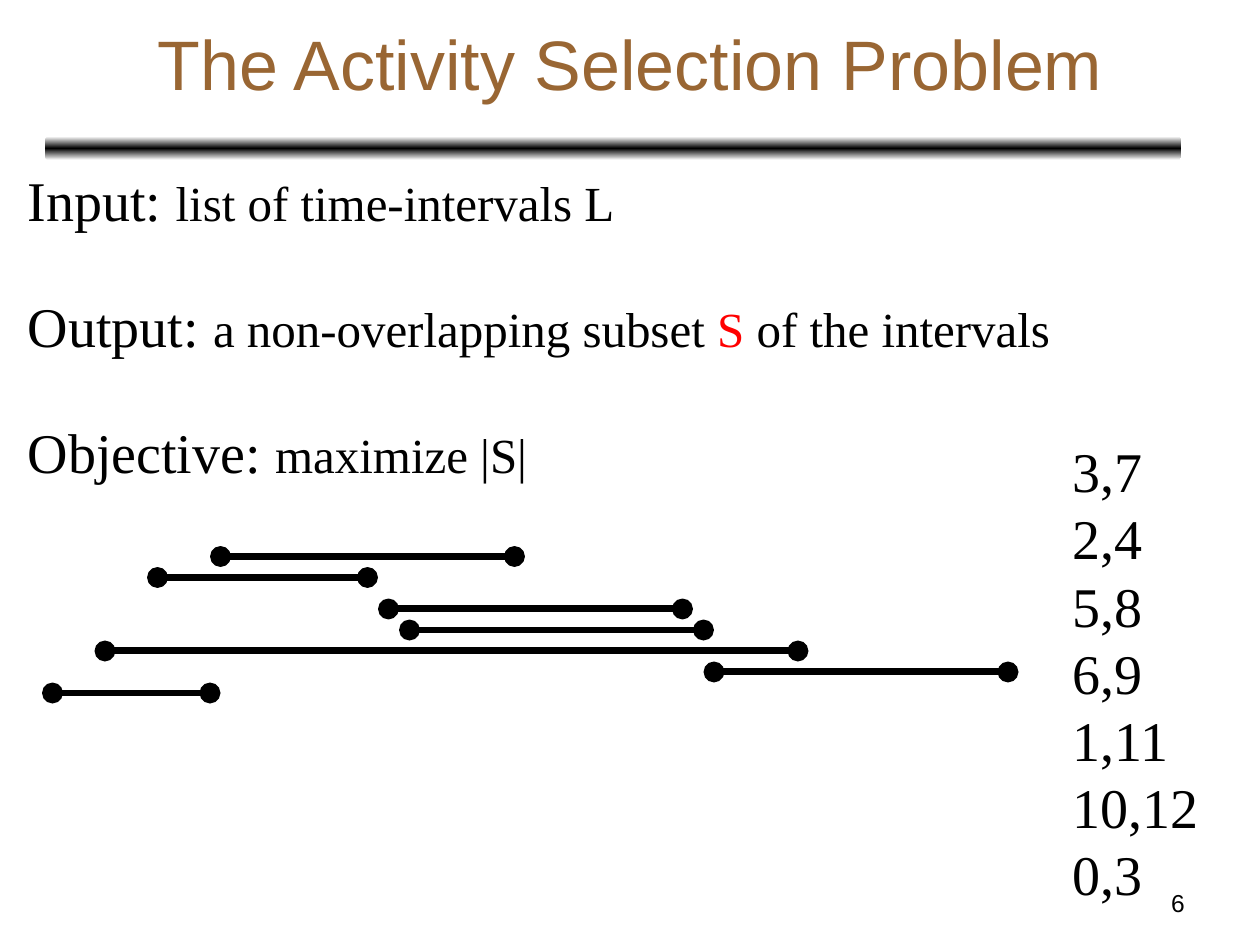
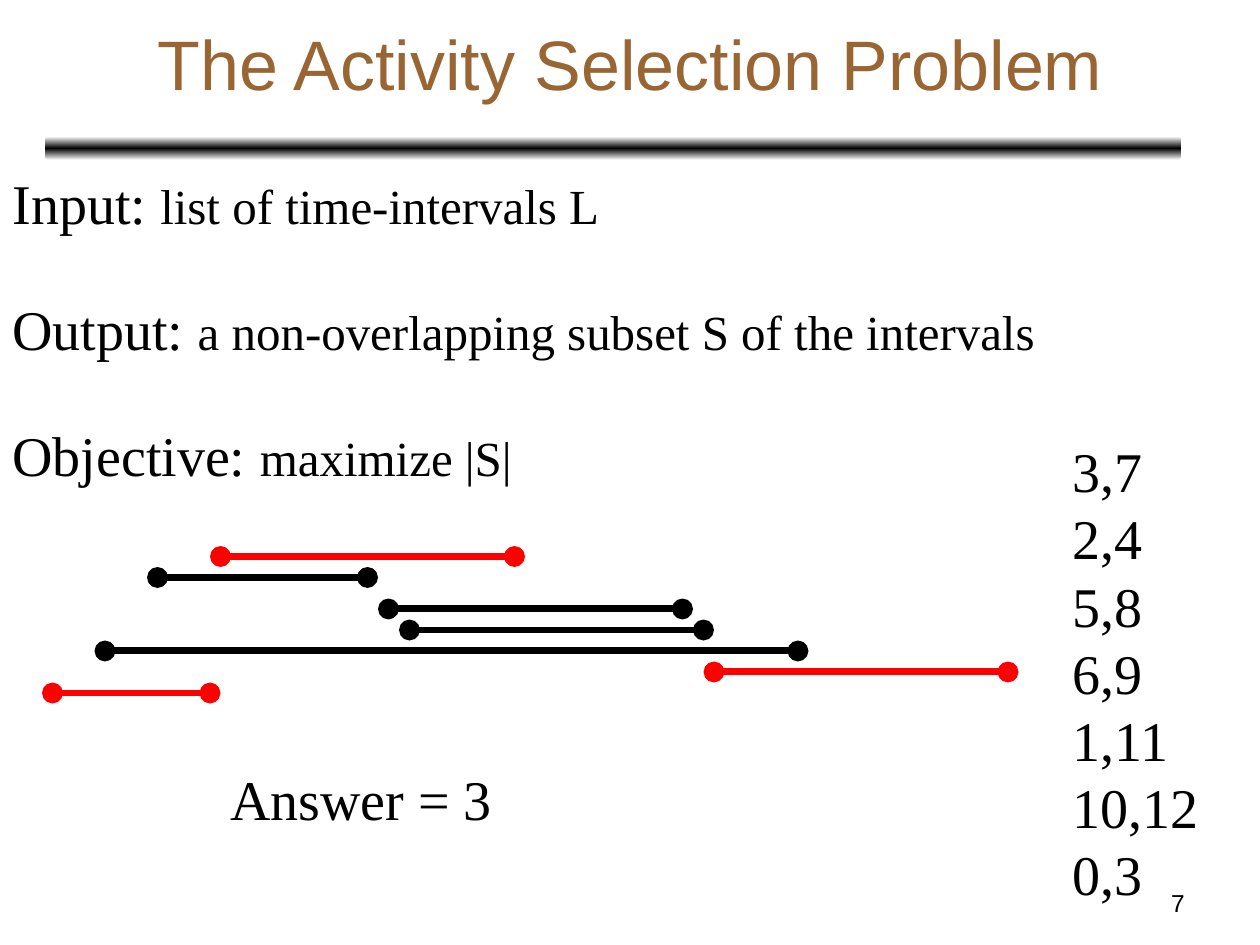
from copy import deepcopy
from dataclasses import dataclass

from pptx import Presentation
from pptx import util as u
from pptx.dml.color import RGBColor
from pptx.enum import shapes, text
from pptx.oxml import ns
from pptx.oxml import xmlchemy as xml


@dataclass(frozen=True)
class Theme:
    ink: RGBColor = RGBColor(0, 0, 0)
    paper: RGBColor = RGBColor(255, 255, 255)
    accent: RGBColor = RGBColor(255, 0, 0)
    heading: RGBColor = RGBColor(0x99, 0x66, 0x33)
    sans: str = "Arial"
    serif: str = "Times New Roman"
    title_size: int = 40
    large_size: int = 32
    body_size: int = 28
    number_size: int = 14
    leading: float = 1.2
    interval_width: int = 4


INTERVALS = {
    "3,7": (126, 294, 318),
    "2,4": (90, 210, 330),
    "5,8": (222, 390, 348),
    "6,9": (234, 402, 360),
    "1,11": (60, 456, 372),
    "10,12": (408, 576, 384),
    "0,3": (30, 120, 396),
}
SELECTED = {"3,7", "10,12", "0,3"}


class Painter:
    def __init__(self, deck, theme):
        self.deck = deck
        self.theme = theme
        self.page = None

    def start_page(self, number):
        theme = self.theme
        self.page = self.deck.slides.add_slide(self.deck.slide_layouts[6])
        self.page.background.fill.solid()
        self.page.background.fill.fore_color.rgb = theme.paper
        self.band(26, 78, 649, 13.5)
        self.text((54, 12, 612, 48), ["The Activity Selection Problem"],
                  theme.title_size, theme.sans, theme.heading,
                  align=text.PP_ALIGN.CENTER, anchor=text.MSO_ANCHOR.MIDDLE)
        self.text((516, 504, 168, 25), [str(number)], theme.number_size,
                  theme.sans, align=text.PP_ALIGN.RIGHT)

    def band(self, left, top, width, height):
        band = self.page.shapes.add_shape(
            shapes.MSO_SHAPE.ROUNDED_RECTANGLE,
            u.Pt(left), u.Pt(top), u.Pt(width), u.Pt(height))
        band.shadow.inherit = False
        band.line.fill.background()
        band.fill.gradient()
        band.fill.gradient_angle = 90
        stop_list = band._element.spPr.find(".//" + ns.qn("a:gsLst"))
        stop_list.append(deepcopy(stop_list[0]))
        colours = (self.theme.paper, self.theme.ink, self.theme.paper)
        for index, (stop, colour) in enumerate(zip(band.fill.gradient_stops, colours)):
            stop.position = index / 2
            stop.color.rgb = colour

    def text(self, bounds, lines, size, font, colour=None, wrap=True,
             align=text.PP_ALIGN.LEFT, anchor=text.MSO_ANCHOR.TOP):
        box = self.page.shapes.add_textbox(*map(u.Pt, bounds))
        frame = box.text_frame
        frame.word_wrap = wrap
        frame.vertical_anchor = anchor
        for index, line in enumerate(lines):
            para = frame.paragraphs[0] if index == 0 else frame.add_paragraph()
            para.text = line
            para.alignment = align
            para.line_spacing = u.Pt(size * self.theme.leading)
            para.font.size = u.Pt(size)
            para.font.name = font
            para.font.color.rgb = colour or self.theme.ink
        return frame

    def definitions(self, bounds, subset_colour):
        theme = self.theme
        entries = [
            ("Input: ", [("list of time-intervals L", theme.ink)]),
            ("Output: ", [("a non-overlapping subset", theme.ink),
                          (" S ", subset_colour),
                          ("of the intervals", theme.ink)]),
            ("Objective: ", [("maximize |S|", theme.ink)]),
        ]
        frame = self.text(bounds, [term for term, _ in entries],
                          theme.large_size, theme.serif)
        for index, (para, (_, spans)) in enumerate(zip(frame.paragraphs, entries)):
            if index:
                para.space_before = u.Pt(theme.body_size * theme.leading)
            for words, colour in spans:
                span = para.add_run()
                span.text = words
                span.font.size = u.Pt(theme.body_size)
                span.font.color.rgb = colour

    def interval(self, start, end, height, colour):
        line = self.page.shapes.add_connector(
            shapes.MSO_CONNECTOR.STRAIGHT,
            u.Pt(start), u.Pt(height), u.Pt(end), u.Pt(height))
        line.line.width = u.Pt(self.theme.interval_width)
        line.line.color.rgb = colour
        outline = line.line._get_or_add_ln()
        for tag in ("a:headEnd", "a:tailEnd"):
            end_mark = xml.OxmlElement(tag)
            end_mark.set("type", "oval")
            outline.append(end_mark)
        line._element.spPr.append(xml.OxmlElement("a:effectLst"))

    def intervals(self, selected):
        theme = self.theme
        for name, (start, end, height) in INTERVALS.items():
            colour = theme.accent if name in selected else theme.ink
            self.interval(start, end, height, colour)
        self.text((606, 246, 86.5, 276), INTERVALS, theme.large_size,
                  theme.serif, wrap=False)


def main():
    deck = Presentation()
    deck.slide_width, deck.slide_height = u.Pt(720), u.Pt(540)
    theme = Theme()
    painter = Painter(deck, theme)

    painter.start_page(6)
    painter.definitions((8.75, 91.25, 717, 189.5), theme.accent)
    painter.intervals(set())

    painter.start_page(7)
    painter.definitions((0, 92.5, 599, 189.5), theme.ink)
    painter.intervals(SELECTED)
    painter.text((124.5, 433.5, 164, 45.5), ["Answer = 3"],
                 theme.large_size, theme.serif, wrap=False)

    deck.save("out.pptx")


if __name__ == "__main__":
    main()
